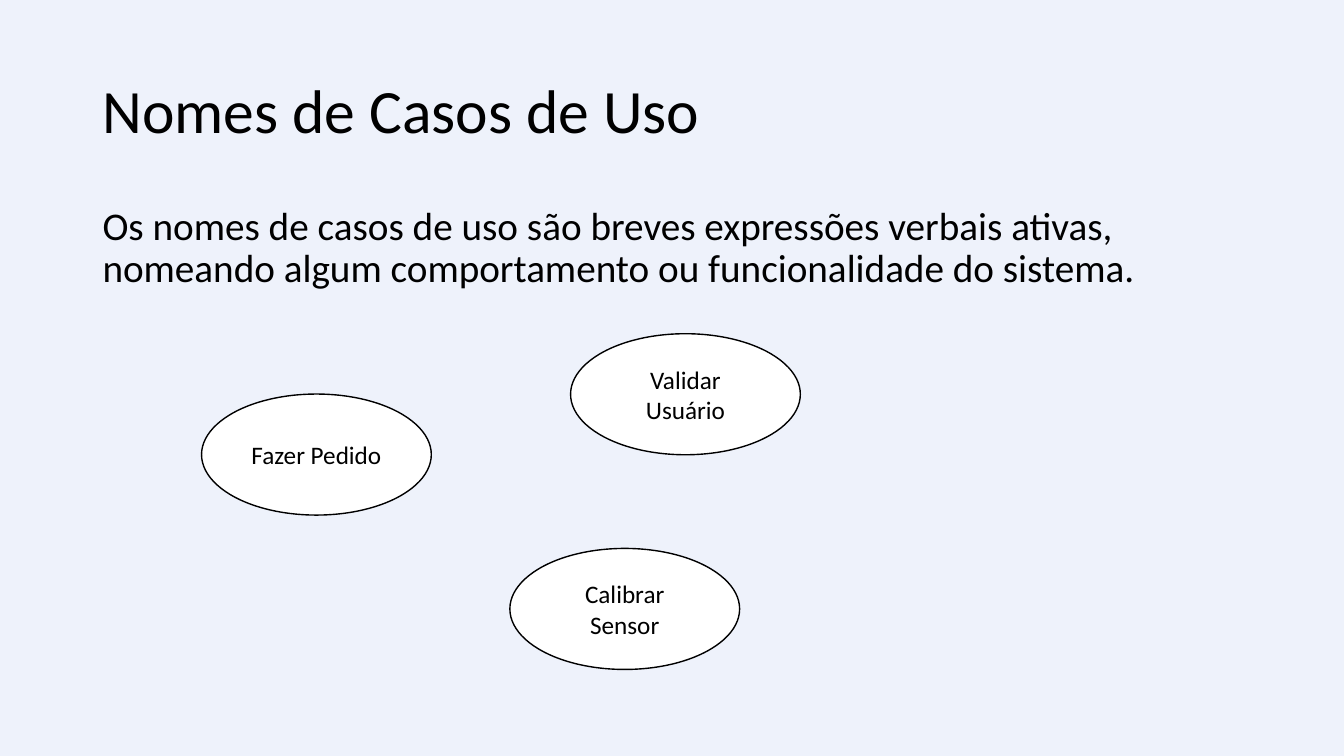
from lxml.etree import SubElement
from pptx import Presentation
from pptx.dml.color import RGBColor
from pptx.enum.shapes import MSO_SHAPE
from pptx.enum.text import MSO_ANCHOR, MSO_AUTO_SIZE, PP_ALIGN
from pptx.oxml.ns import qn
from pptx.util import Cm, Pt

COLORS = {"background": "EEF2FB", "ink": "000000", "oval": "FFFFFF"}
FONT = "Calibri"
OVAL_WIDTH, OVAL_HEIGHT = 5.79, 3.05
USE_CASES = [
    ("Fazer Pedido", 5.08, 9.93),
    ("Validar Usuário", 14.38, 8.41),
    ("Calibrar Sensor", 12.85, 13.82),
]


def color(name):
    return RGBColor.from_string(COLORS[name])


class UseCaseSlide:
    def __init__(self, presentation):
        self.slide = presentation.slides.add_slide(presentation.slide_layouts[1])
        fill = self.slide.background.fill
        fill.solid()
        fill.fore_color.rgb = color("background")

    def set_text(self, shape, text, size, alignment, anchor, line_spacing=1.0):
        frame = shape.text_frame
        frame.word_wrap = True
        frame.auto_size = MSO_AUTO_SIZE.NONE
        frame.vertical_anchor = anchor
        paragraph = frame.paragraphs[0]
        paragraph.alignment = alignment
        paragraph.line_spacing = line_spacing
        paragraph.space_before = Pt(0)
        run = paragraph.add_run()
        run.text = text
        run.font.name = FONT
        run.font.size = Pt(size)
        run.font.color.rgb = color("ink")
        return paragraph

    def place(self, shape, top, height):
        shape.left, shape.top = Cm(2.33), Cm(top)
        shape.width, shape.height = Cm(29.21), Cm(height)

    def title(self, text):
        shape = self.slide.shapes.title
        self.place(shape, 1.01, 3.68)
        self.set_text(shape, text, 44, PP_ALIGN.LEFT, MSO_ANCHOR.MIDDLE, 0.9)

    def body(self, text):
        shape = self.slide.placeholders[1]
        self.place(shape, 5.07, 12.09)
        paragraph = self.set_text(shape, text, 28, PP_ALIGN.LEFT, MSO_ANCHOR.TOP, 0.9)
        properties = paragraph._p.get_or_add_pPr()
        properties.set("marL", "0")
        properties.set("indent", "0")
        SubElement(properties, qn("a:buNone"))

    def use_case(self, name, left, top):
        oval = self.slide.shapes.add_shape(
            MSO_SHAPE.OVAL, Cm(left), Cm(top), Cm(OVAL_WIDTH), Cm(OVAL_HEIGHT))
        oval.shadow.inherit = False
        oval.fill.solid()
        oval.fill.fore_color.rgb = color("oval")
        oval.line.color.rgb = color("ink")
        oval.line.width = Pt(1)
        self.set_text(oval, name, 18, PP_ALIGN.CENTER, MSO_ANCHOR.MIDDLE)


def main():
    presentation = Presentation()
    presentation.slide_width = Cm(33.87)
    presentation.slide_height = Cm(19.05)
    page = UseCaseSlide(presentation)
    page.title("Nomes de Casos de Uso")
    page.body("Os nomes de casos de uso são breves expressões verbais ativas, "
              "nomeando algum comportamento ou funcionalidade do sistema.")
    for name, left, top in USE_CASES:
        page.use_case(name, left, top)
    presentation.save("out.pptx")


if __name__ == "__main__":
    main()
